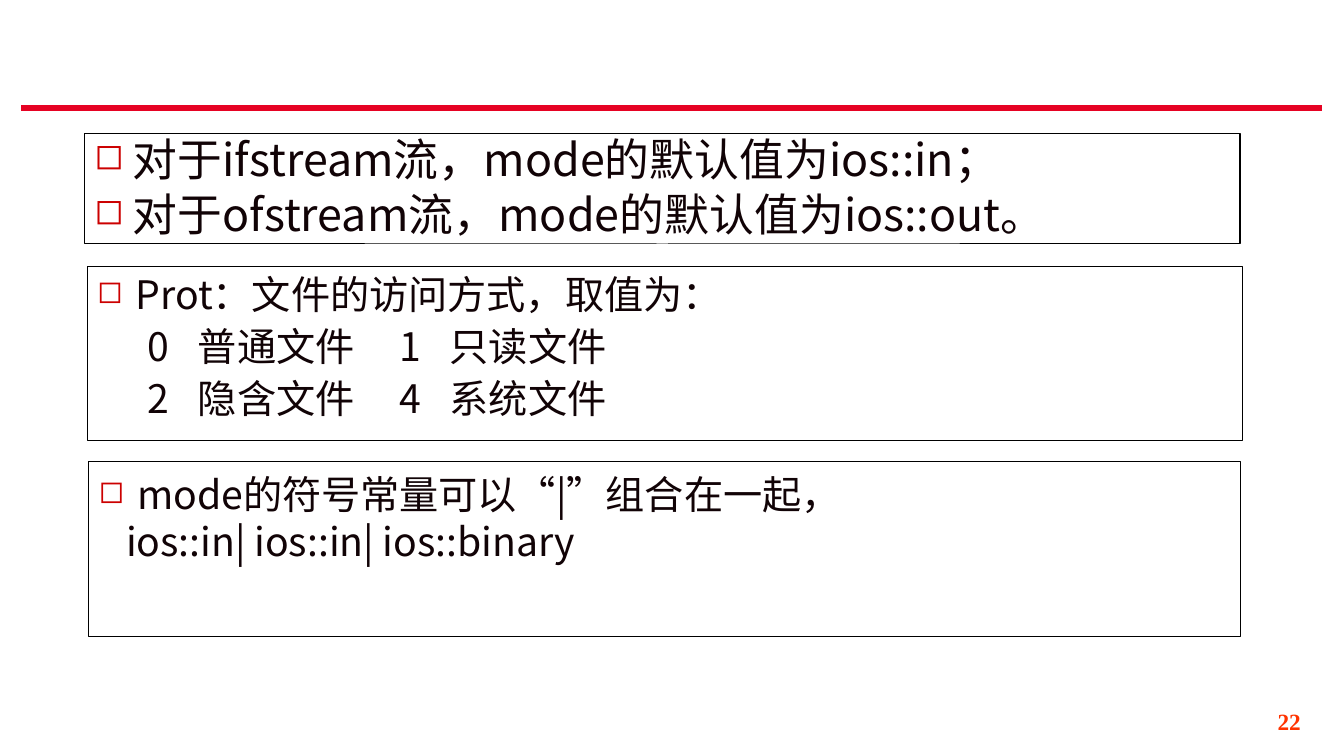
from dataclasses import dataclass

from lxml.etree import SubElement
from pptx import Presentation
from pptx.dml.color import RGBColor as Rgb
from pptx.enum.shapes import MSO_CONNECTOR as Connector, MSO_SHAPE as Shape
from pptx.enum.text import MSO_ANCHOR as Anchor, PP_ALIGN as Align
from pptx.oxml.ns import qn
from pptx.util import Cm, Pt


@dataclass(frozen=True)
class Theme:
    """Colours, fonts and type sizes of the slide."""
    rule: str = "E60223"
    bullet: str = "CC0000"
    ink: str = "110306"
    border: str = "000000"
    paper: str = "FFFFFF"
    number: str = "FF3300"
    body_font: str = "Noto Sans CJK SC"
    number_font: str = "Times New Roman"
    large: float = 32
    medium: float = 28
    small: float = 16.6


@dataclass(frozen=True)
class Line:
    """One paragraph: its text, bullet, left indent in cm and tab stops in cm."""
    text: str
    bullet: bool = False
    indent: float = 0
    tabs: tuple = ()


class SlideWriter:
    """Draws themed elements on the current page."""

    def __init__(self, page, theme):
        """Keep the page and the theme."""
        self.page = page
        self.theme = theme

    def rule(self, left, right, top):
        """Draw the thick horizontal rule."""
        rule = self.page.shapes.add_connector(
            Connector.STRAIGHT, Cm(left), Cm(top), Cm(right), Cm(top))
        rule.line.color.rgb = Rgb.from_string(self.theme.rule)
        rule.line.width = Pt(4.5)
        SubElement(rule._element.spPr, qn("a:effectLst"))

    def panel(self, left, top, width, height, lines, size, leading, gap):
        """Draw a bordered panel holding a list of lines."""
        box = self.page.shapes.add_shape(
            Shape.RECTANGLE, Cm(left), Cm(top), Cm(width), Cm(height))
        box.shadow.inherit = False
        box.fill.solid()
        box.fill.fore_color.rgb = Rgb.from_string(self.theme.paper)
        box.line.color.rgb = Rgb.from_string(self.theme.border)
        box.line.width = Pt(0.75)
        frame = box.text_frame
        frame.word_wrap = True
        frame.vertical_anchor = Anchor.TOP
        frame.margin_top = Cm(0.23)
        for index, line in enumerate(lines):
            para = frame.add_paragraph() if index else frame.paragraphs[0]
            para.text = line.text
            para.alignment = Align.LEFT
            para.line_spacing = Pt(leading)
            para.space_before = Pt(gap if index else 0)
            self.layout(para, line)
            self.font(para, self.theme.body_font, size, self.theme.ink)

    def layout(self, para, line):
        """Set the indent, bullet and tab stops of a paragraph."""
        props = para._p.get_or_add_pPr()
        indent = Cm(0.97 if line.bullet else line.indent)
        props.set("marL", str(indent))
        props.set("indent", str(-indent if line.bullet else 0))
        if line.bullet:
            colour = SubElement(props, qn("a:buClr"))
            SubElement(colour, qn("a:srgbClr"), val=self.theme.bullet)
            SubElement(props, qn("a:buSzPct"), val="80000")
            SubElement(props, qn("a:buChar"), char="◻")
        if line.tabs:
            stops = SubElement(props, qn("a:tabLst"))
            for stop in line.tabs:
                SubElement(stops, qn("a:tab"), pos=str(Cm(stop)), algn="l")

    def font(self, para, name, size, colour, bold=False):
        """Set the font of a paragraph for Latin and Chinese text."""
        font = para.font
        font.size = Pt(size)
        font.bold = bold
        font.color.rgb = Rgb.from_string(colour)
        font.name = name
        defaults = para._p.pPr.find(qn("a:defRPr"))
        SubElement(defaults, qn("a:ea"), typeface=name)

    def number(self, left, top, width, height, text):
        """Write the page number, aligned right."""
        box = self.page.shapes.add_textbox(
            Cm(left), Cm(top), Cm(width), Cm(height))
        box.text_frame.word_wrap = True
        para = box.text_frame.paragraphs[0]
        para.text = text
        para.alignment = Align.RIGHT
        para.line_spacing = 0.9
        self.font(para, self.theme.number_font, self.theme.small,
                  self.theme.number, bold=True)


def main():
    """Build the slide and save it."""
    deck = Presentation()
    deck.slide_width, deck.slide_height = Cm(33.88), Cm(19.05)
    theme = Theme()
    writer = SlideWriter(deck.slides.add_slide(deck.slide_layouts[6]), theme)
    writer.rule(0.53, 33.32, 2.72)
    writer.panel(2.13, 3.36, 29.13, 2.79, [
        Line("对于ifstream流，mode的默认值为ios::in；", bullet=True),
        Line("对于ofstream流，mode的默认值为ios::out。", bullet=True),
    ], theme.large, leading=31, gap=8)
    writer.panel(2.2, 6.71, 29.13, 4.4, [
        Line("Prot：文件的访问方式，取值为：", bullet=True),
        Line("\t0\t普通文件\t1\t只读文件", tabs=(3.48, 5.16, 11.33, 13)),
        Line("\t2\t隐含文件\t4\t系统文件", tabs=(3.48, 5.16, 10.24, 11.92)),
    ], theme.medium, leading=30.2, gap=7)
    writer.panel(2.24, 11.63, 29.03, 4.4, [
        Line("mode的符号常量可以“|”组合在一起，", bullet=True),
        Line("ios::in| ios::in| ios::binary", indent=0.69),
    ], theme.medium, leading=33.6, gap=0)
    writer.number(25.98, 17.78, 7.06, 1.02, "22")
    deck.save("out.pptx")


if __name__ == "__main__":
    main()
